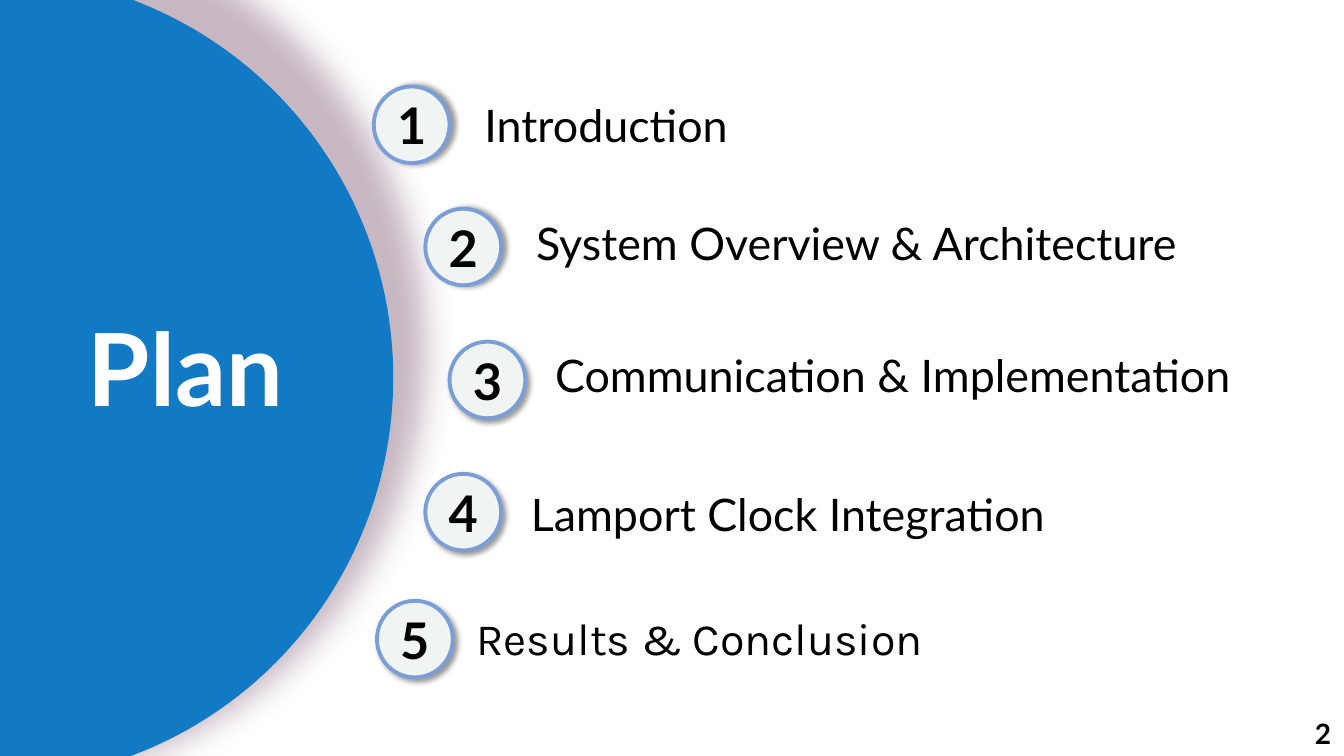
from lxml import etree
from pptx import Presentation
from pptx import util as u
from pptx.dml.color import RGBColor
from pptx.enum import shapes, text
from pptx.oxml.ns import qn

BLUE = RGBColor(0x12, 0x79, 0xC5)
RING = RGBColor(0x7C, 0x9E, 0xD7)
PALE = RGBColor(0xF0, 0xF5, 0xF3)
WHITE = RGBColor(0xFF, 0xFF, 0xFF)
BLACK = RGBColor(0, 0, 0)
PLUM = RGBColor(0x71, 0x4B, 0x67)

ITEMS = [
    ("Introduction", "Lato", (9.42, 2.18), (11.96, 2.34, 13.23), 0),
    ("System Overview & Architecture", "Lato", (10.72, 5.26), (13.26, 5.31, 17.04), 0),
    ("Communication & Implementation", "Lato", (11.33, 8.61), (13.74, 8.64, 18.59), 45),
    ("Lamport Clock Integration", "Lato", (10.72, 11.94), (13.13, 12.14, 18.57), 45),
    ("Results & Conclusion", "Karla", (9.5, 15.14), (11.76, 15.27, 18.57), 45),
]


class Deck:
    """Holds the text style and the current slide."""

    def __init__(self, show):
        """Add a title-only slide to the show."""
        self.style = {"name": "Lato", "size": u.Pt(32), "bold": False}
        self.slide = show.slides.add_slide(show.slide_layouts[5])

    def letter(self, shape, words, color=BLACK, align=text.PP_ALIGN.LEFT,
               anchor=text.MSO_ANCHOR.TOP, **style):
        """Put one styled line of text in a shape."""
        frame = shape.text_frame
        frame.word_wrap = True
        frame.vertical_anchor = anchor
        line = frame.paragraphs[0]
        line.alignment = align
        run = line.add_run()
        run.text = words
        for key, value in {**self.style, **style}.items():
            setattr(run.font, key, value)
        run.font.color.rgb = color

    def title(self, words, box, **style):
        """Place and format the title."""
        shape = self.slide.shapes.title
        for key, value in zip(("left", "top", "width", "height"), box):
            setattr(shape, key, u.Cm(value))
        self.letter(shape, words, **style)

    def label(self, words, box, **style):
        """Add a text box."""
        shape = self.slide.shapes.add_textbox(*map(u.Cm, box))
        self.letter(shape, words, **style)

    def disc(self, box, fill, ring=None):
        """Add an ellipse, with a ring if a colour is given."""
        shape = self.slide.shapes.add_shape(shapes.MSO_SHAPE.OVAL, *map(u.Cm, box))
        shape.shadow.inherit = False
        shape.fill.solid()
        shape.fill.fore_color.rgb = fill
        if ring is None:
            shape.line.fill.background()
        else:
            shape.line.color.rgb = ring
            shape.line.width = u.Pt(2.75)
        return shape

    def shade(self, shape, color, blur, turn, **extra):
        """Give a shape a soft outer shadow."""
        holder = shape.element.spPr.find(qn("a:effectLst"))
        attrs = {"blurRad": u.Pt(blur), "dist": u.Pt(3), "dir": turn * 60000,
                 **extra, "rotWithShape": 0}
        glow = etree.SubElement(holder, qn("a:outerShdw"),
                                {key: str(int(value)) if key != "algn" else value
                                 for key, value in attrs.items()})
        tint = etree.SubElement(glow, qn("a:srgbClr"), val=str(color))
        etree.SubElement(tint, qn("a:alpha"), val="40000")

    def badge(self, number, spot, turn):
        """Add a numbered disc."""
        shape = self.disc((*spot, 1.91, 1.93), PALE, RING)
        self.shade(shape, BLACK, 4, turn, algn="tl")
        self.letter(shape, str(number), align=text.PP_ALIGN.CENTER,
                    anchor=text.MSO_ANCHOR.MIDDLE, size=u.Pt(36), bold=True)


def main():
    """Build and save the slide."""
    show = Presentation()
    show.slide_width, show.slide_height = u.Cm(33.87), u.Cm(19.05)
    deck = Deck(show)
    globe = deck.disc((-10.41, -0.66, 20.32, 20.35), BLUE)
    deck.shade(globe, PLUM, 23, 359, sx=107000, sy=107000, algn="b")
    deck.slide.shapes.title.element.addprevious(globe.element)
    deck.title("Plan", (1.96, 7.57, 7.98, 3.94), color=WHITE, size=u.Pt(72), bold=True)
    for number, (words, face, spot, place, turn) in enumerate(ITEMS, 1):
        deck.badge(number, spot, turn)
        deck.label(words, (*place, 1.63), name=face)
    deck.label("2", (32.89, 17.93, 0.99, 1.12), size=u.Pt(20), bold=True)
    show.save("out.pptx")


if __name__ == "__main__":
    main()
